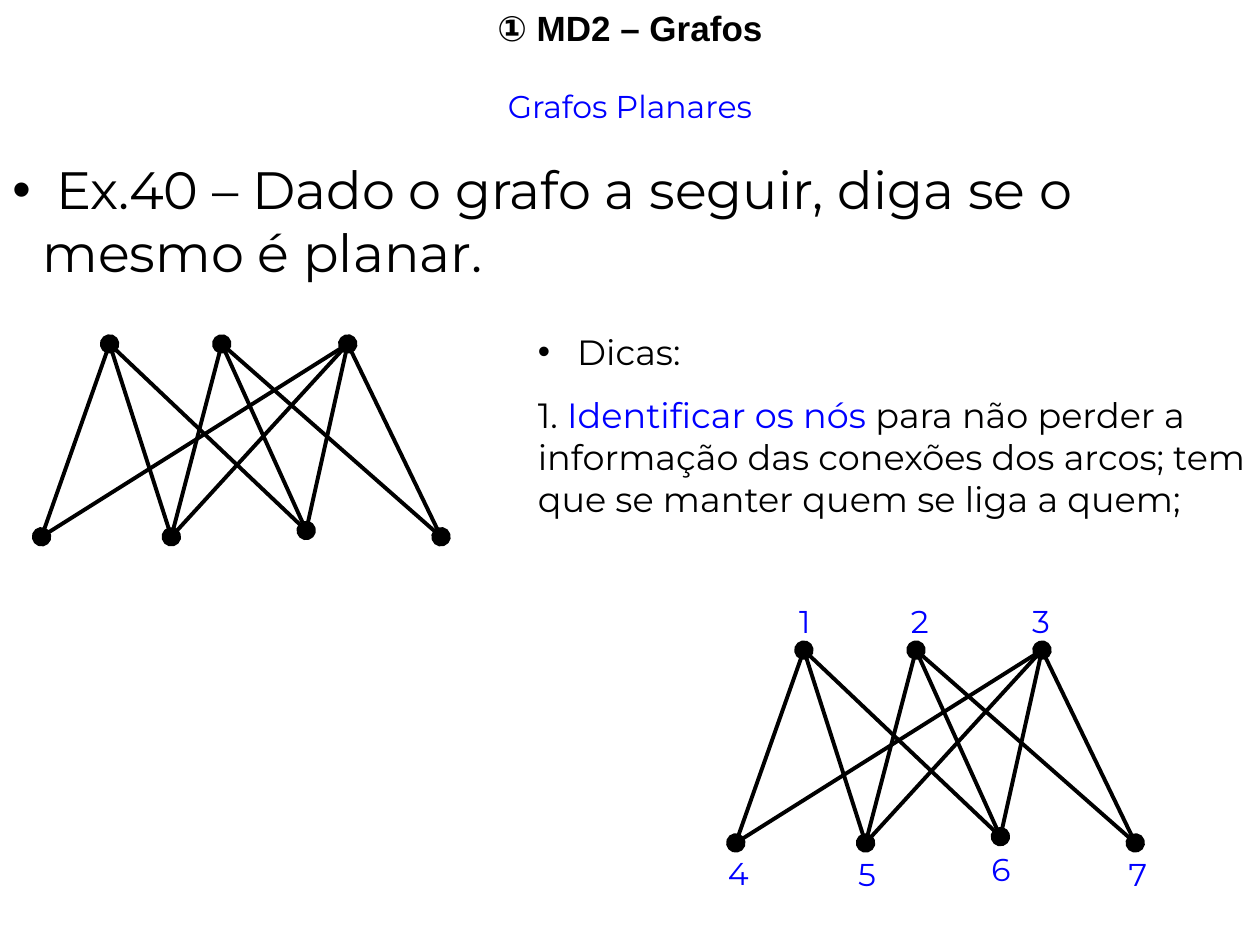
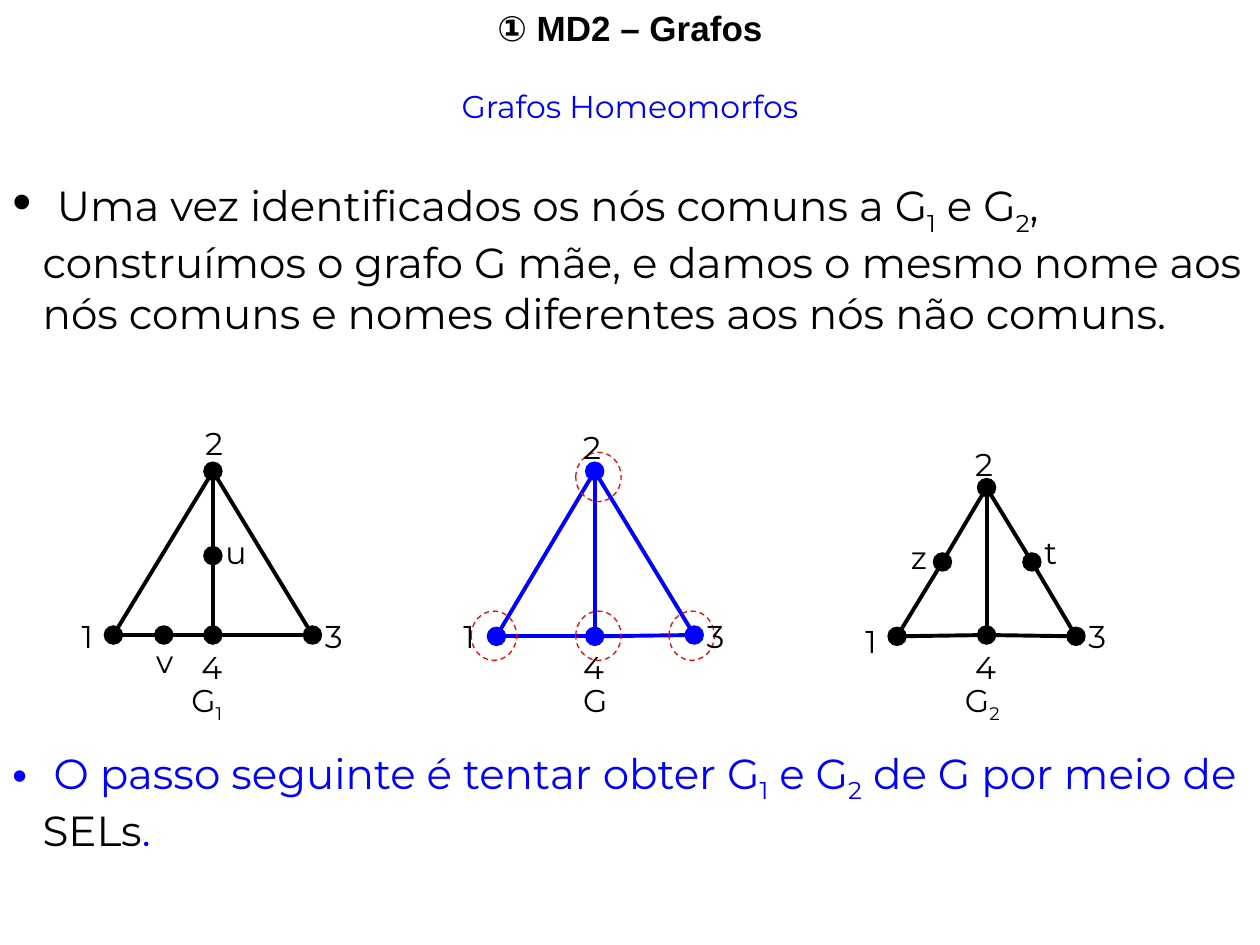
"""Build two lecture slides on planar and homeomorphic graphs."""
import dataclasses
import typing

import lxml.etree
import pptx
import pptx.dml.color
import pptx.enum.dml
import pptx.enum.shapes
import pptx.enum.text
import pptx.oxml.ns
import pptx.slide
import pptx.util

Inches = pptx.util.Inches
Pt = pptx.util.Pt
qn = pptx.oxml.ns.qn
ALIGN = pptx.enum.text.PP_ALIGN

BLACK = pptx.dml.color.RGBColor(0x00, 0x00, 0x00)
BLUE = pptx.dml.color.RGBColor(0x00, 0x00, 0xFF)
RED = pptx.dml.color.RGBColor(0xFF, 0x00, 0x00)
BODY_FONT = "Montserrat"
HEADER_FONT = "Arial"
BULLET_INDENT = 0.24


class Run(typing.NamedTuple):
    """A stretch of text in one format."""
    text: str
    size: float
    color: pptx.dml.color.RGBColor = BLACK
    subscript: bool = False
    font: str = BODY_FONT
    bold: bool = False


@dataclasses.dataclass
class Paragraph:
    """Runs with their alignment, space before and bullet colour."""
    runs: list[Run]
    align: ALIGN = ALIGN.LEFT
    before: float = 0
    bullet: pptx.dml.color.RGBColor | None = None


class Box(typing.NamedTuple):
    """Left, top, width and height in inches."""
    left: float
    top: float
    width: float
    height: float


class Node(typing.NamedTuple):
    """A graph node and the corner of its label."""
    x: float
    y: float
    label_left: float
    label_top: float


@dataclasses.dataclass
class Graph:
    """Named nodes joined by edges, each edge written as two node names."""
    nodes: dict[str, Node]
    edges: list[str]
    color: pptx.dml.color.RGBColor = BLACK


def lengths(*inches: float) -> list[pptx.util.Length]:
    """Turn numbers into lengths in inches."""
    return [Inches(value) for value in inches]


def add_bullet(paragraph: typing.Any, color: pptx.dml.color.RGBColor) -> None:
    """Give a paragraph a hanging round bullet."""
    properties = paragraph._p.get_or_add_pPr()
    properties.set("marL", str(Inches(BULLET_INDENT)))
    properties.set("indent", str(-Inches(BULLET_INDENT)))
    bullet_color = lxml.etree.SubElement(properties, qn("a:buClr"))
    lxml.etree.SubElement(bullet_color, qn("a:srgbClr"), val=str(color))
    lxml.etree.SubElement(properties, qn("a:buFont"), typeface=HEADER_FONT)
    lxml.etree.SubElement(properties, qn("a:buChar"), char="•")


def add_text(shapes: typing.Any, box: Box, paragraphs: list[Paragraph], wrap: bool = True) -> None:
    """Add a text box run by run."""
    frame = shapes.add_textbox(*lengths(*box)).text_frame
    frame.word_wrap = wrap
    frame.auto_size = pptx.enum.text.MSO_AUTO_SIZE.SHAPE_TO_FIT_TEXT
    for index, content in enumerate(paragraphs):
        paragraph = frame.add_paragraph() if index else frame.paragraphs[0]
        if content.bullet is not None:
            add_bullet(paragraph, content.bullet)
        paragraph.alignment = content.align
        paragraph.space_before = Pt(content.before)
        for part in content.runs:
            run = paragraph.add_run()
            run.text = part.text
            run.font.size = Pt(part.size)
            run.font.name = part.font
            run.font.bold = part.bold
            run.font.color.rgb = part.color
            if part.subscript:
                run._r.get_or_add_rPr().set("baseline", "-25000")


def indexed(text: str, size: float, color: pptx.dml.color.RGBColor = BLACK) -> list[Run]:
    """Split text at underscores, each followed by one subscript character."""
    first, *rest = text.split("_")
    runs = [Run(first, size, color)]
    for piece in rest:
        runs.append(Run(piece[0], size, color, subscript=True))
        if piece[1:]:
            runs.append(Run(piece[1:], size, color))
    return runs


def draw_edges(shapes: typing.Any, graph: Graph, dx: float = 0, dy: float = 0) -> None:
    """Draw the edges; the first edge to reach a node puts the dot on it."""
    dotted: set[str] = set()
    for edge in graph.edges:
        start, end = (graph.nodes[name] for name in edge)
        connector = shapes.add_connector(
            pptx.enum.shapes.MSO_CONNECTOR.STRAIGHT,
            *lengths(start.x + dx, start.y + dy, end.x + dx, end.y + dy))
        connector.line.color.rgb = graph.color
        connector.line.width = Pt(2.25)
        outline = connector.line._get_or_add_ln()
        for name, tag in zip(edge, ("a:headEnd", "a:tailEnd")):
            if name not in dotted:
                lxml.etree.SubElement(outline, qn(tag), type="oval", w="lg", len="lg")
                dotted.add(name)
        lxml.etree.SubElement(connector._element.spPr, qn("a:effectLst"))


def draw_labels(shapes: typing.Any, graph: Graph, color: pptx.dml.color.RGBColor,
                align: ALIGN = ALIGN.LEFT, wrap: bool = True) -> None:
    """Write each node's name beside it."""
    for name, node in graph.nodes.items():
        box = Box(node.label_left, node.label_top, 0.35 if wrap else 0.34, 0.4)
        add_text(shapes, box, [Paragraph([Run(name, 18, color)], align)], wrap)


def draw_common_mark(shapes: typing.Any, left: float, top: float) -> None:
    """Circle a node that both graphs share."""
    mark = shapes.add_shape(pptx.enum.shapes.MSO_SHAPE.OVAL, *lengths(left, top, 0.36, 0.39))
    mark.shadow.inherit = False
    mark.fill.background()
    mark.line.color.rgb = RED
    mark.line.width = Pt(0.75)
    mark.line.dash_style = pptx.enum.dml.MSO_LINE.DASH


def add_lecture_slide(deck: typing.Any, topic: str, statement: Paragraph, height: float) -> pptx.slide.Slide:
    """Add a slide with the course header, topic and opening statement."""
    slide = deck.slides.add_slide(deck.slide_layouts[6])
    header = Run("① MD2 – Grafos", 20, font=HEADER_FONT, bold=True)
    add_text(slide.shapes, Box(0, 0, 10, 0.44), [Paragraph([header], ALIGN.CENTER)])
    add_text(slide.shapes, Box(0, 0.64, 10, height),
             [Paragraph([Run(topic, 18, BLUE)], ALIGN.CENTER), statement])
    return slide


BIPARTITE = Graph(
    {"1": Node(0.87, 2.73, 6.19, 4.73), "2": Node(1.76, 2.73, 7.13, 4.73),
     "3": Node(2.76, 2.73, 8.09, 4.73), "4": Node(0.33, 4.26, 5.68, 6.73),
     "5": Node(1.36, 4.26, 6.71, 6.74), "6": Node(2.43, 4.21, 7.77, 6.7),
     "7": Node(3.5, 4.26, 8.86, 6.74)},
    ["41", "52", "63", "43", "51", "53", "62", "61", "27", "73"])

G1 = Graph(
    {"1": Node(0.9, 5.04, 0.55, 4.85), "2": Node(1.69, 3.74, 1.53, 3.32),
     "3": Node(2.48, 5.04, 2.48, 4.85), "4": Node(1.69, 5.04, 1.5, 5.09),
     "u": Node(1.69, 4.41, 1.69, 4.18), "v": Node(1.3, 5.04, 1.14, 5.05)},
    ["23", "2u", "u4", "34", "4v", "v1", "21"])

G2 = Graph(
    {"1": Node(7.12, 5.05, 6.77, 4.89), "2": Node(7.83, 3.87, 7.64, 3.48),
     "3": Node(8.54, 5.05, 8.54, 4.85), "4": Node(7.83, 5.04, 7.64, 5.09),
     "z": Node(7.48, 4.46, 7.13, 4.22), "t": Node(8.19, 4.46, 8.19, 4.18)},
    ["2z", "z1", "24", "14", "2t", "t3", "34"])

MOTHER = Graph(
    {"1": Node(3.94, 5.05, 3.58, 4.85), "2": Node(4.72, 3.74, 4.53, 3.35),
     "3": Node(5.51, 5.04, 5.51, 4.85), "4": Node(4.72, 5.05, 4.53, 5.09)},
    ["23", "24", "34", "41", "21"], BLUE)

COMMON_MARKS = [(4.57, 3.59), (3.74, 4.85), (4.57, 4.85), (5.31, 4.85)]
CAPTIONS = {"G_1": Box(1.42, 5.36, 0.59, 0.44), "G_2": Box(7.56, 5.36, 0.59, 0.44),
            "G": Box(4.53, 5.36, 0.43, 0.4)}


def build_planar_slide(deck: typing.Any) -> None:
    """Exercise on a planar graph, with its hints."""
    exercise = Paragraph(
        [Run(" Ex.40 – Dado o grafo a seguir, diga se o mesmo é planar.", 30)],
        before=18.7, bullet=BLACK)
    shapes = add_lecture_slide(deck, "Grafos Planares", exercise, 1.66).shapes
    draw_edges(shapes.add_group_shape().shapes, BIPARTITE)
    add_text(shapes, Box(4.17, 2.57, 5.83, 1.61), [
        Paragraph([Run(" Dicas:", 20)], bullet=BLACK),
        Paragraph([
            Run("1. ", 20),
            Run("Identificar os nós", 20, BLUE),
            Run(" para não perder a informação das conexões dos arcos; "
                "tem que se manter quem se liga a quem;", 20)], before=12.5)])
    numbered = shapes.add_group_shape().shapes
    draw_edges(numbered, BIPARTITE, 5.51, 2.43)
    draw_labels(numbered, BIPARTITE, BLUE, ALIGN.RIGHT, wrap=False)


def build_homeomorphic_slide(deck: typing.Any) -> None:
    """Two homeomorphic graphs around their mother graph."""
    method = Paragraph(
        [Run(" ", 31), *indexed(
            "Uma vez identificados os nós comuns a G_1 e G_2, construímos o grafo G mãe, "
            "e damos o mesmo nome aos nós comuns e nomes diferentes aos nós não comuns.", 24)],
        before=24.4, bullet=BLACK)
    shapes = add_lecture_slide(deck, "Grafos Homeomorfos", method, 2.09).shapes
    family = shapes.add_group_shape().shapes
    for caption, box in CAPTIONS.items():
        add_text(family, box, [Paragraph(indexed(caption, 18))])
    graphs = (G1, G2, MOTHER)
    for graph in graphs:
        draw_edges(family, graph)
    for left, top in COMMON_MARKS:
        draw_common_mark(family, left, top)
    for graph in graphs:
        draw_labels(family, graph, BLACK)
    next_step = indexed(" O passo seguinte é tentar obter G_1 e G_2 de G por meio de ", 24, BLUE)
    add_text(shapes, Box(0, 5.88, 10, 0.96), [
        Paragraph([*next_step, Run("SELs", 24), Run(".", 24, BLUE)], bullet=BLUE)])


def main() -> None:
    """Build and save the deck."""
    deck = pptx.Presentation()
    deck.slide_width, deck.slide_height = lengths(10, 7.5)
    build_planar_slide(deck)
    build_homeomorphic_slide(deck)
    deck.save("out.pptx")


if __name__ == "__main__":
    main()
